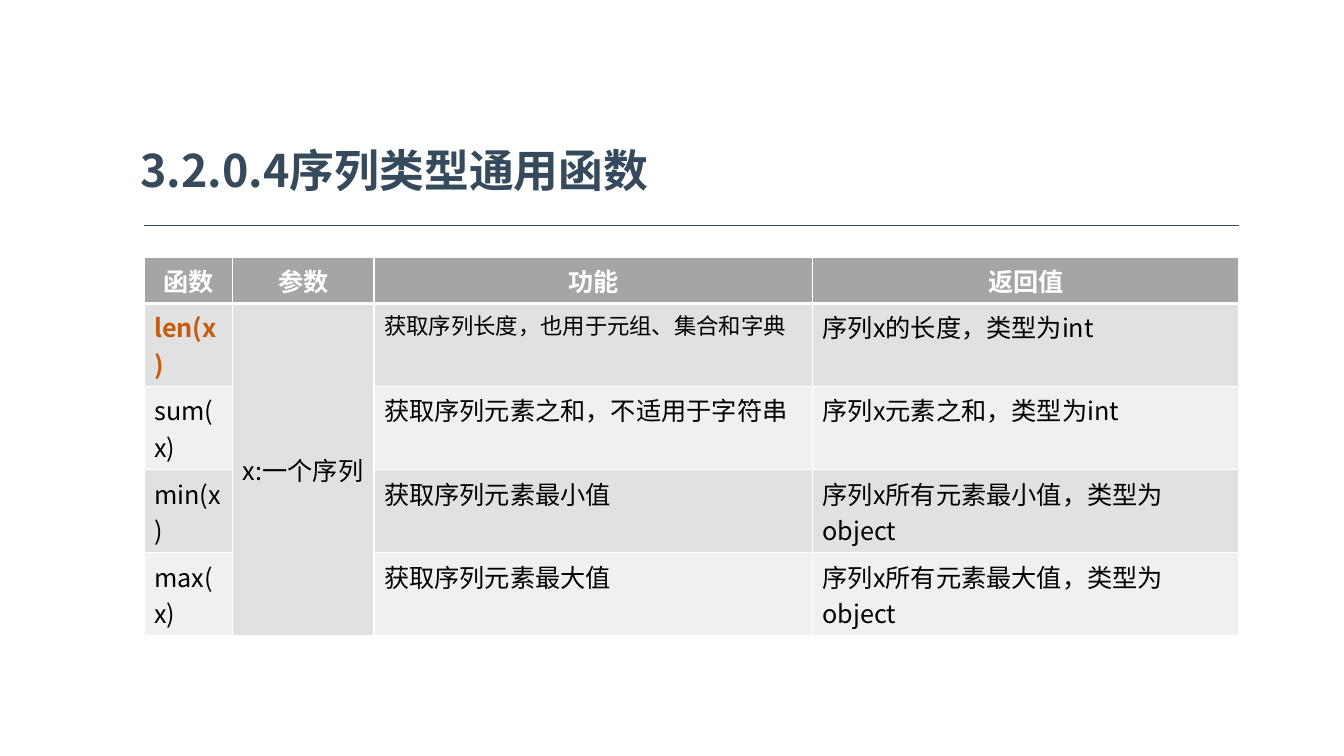
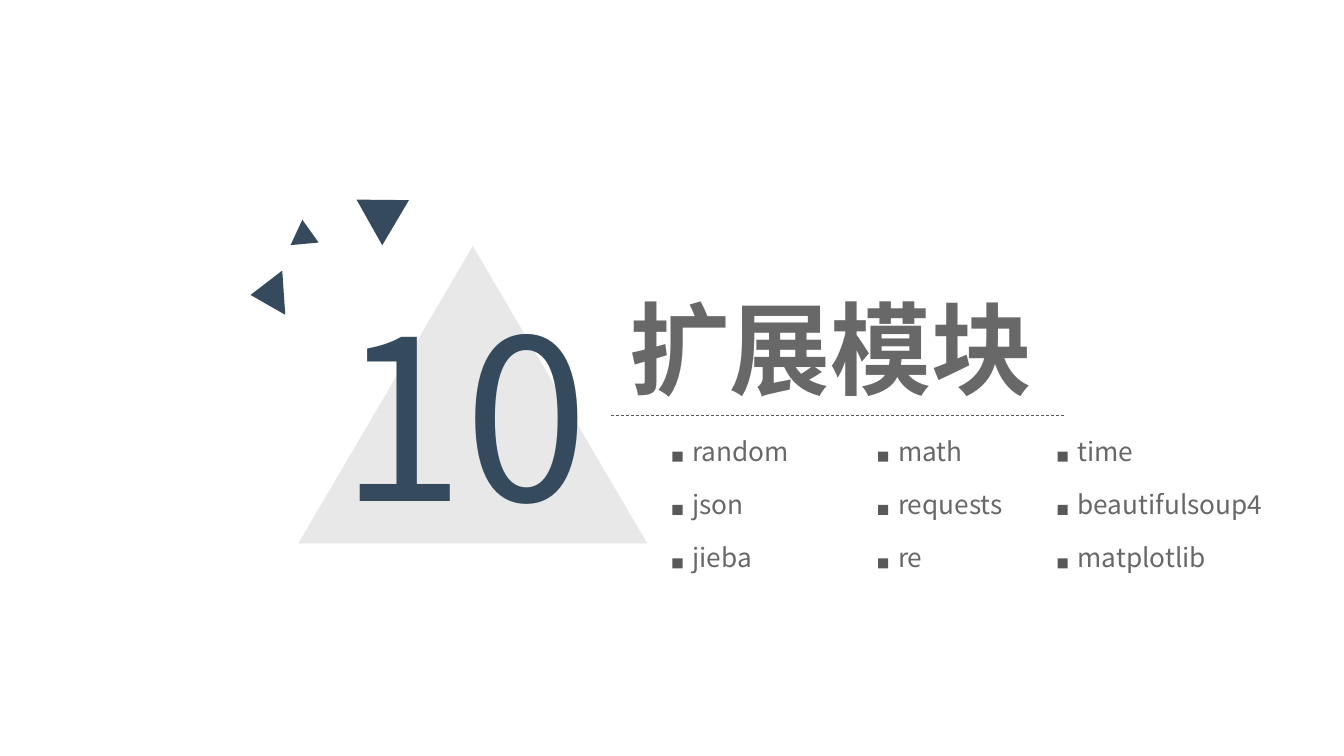
from pptx import Presentation
from pptx.dml.color import RGBColor
from pptx.enum.dml import MSO_LINE
from pptx.enum.shapes import MSO_CONNECTOR, MSO_SHAPE
from pptx.enum.text import MSO_ANCHOR as ANCHOR, MSO_AUTO_SIZE as FIT, PP_ALIGN as ALIGN
from pptx.oxml.ns import qn
from pptx.util import Inches, Pt
from lxml.etree import SubElement, Element

NAVY = RGBColor(0x35, 0x4A, 0x5D)
GREY = RGBColor(0x59, 0x59, 0x59)
SOFT_GREY = RGBColor(0x68, 0x68, 0x68)
PALE_GREY = RGBColor(0xE8, 0xE8, 0xE8)
HEADER = RGBColor(0xA5, 0xA5, 0xA5)
BANDS = RGBColor(0xE1, 0xE1, 0xE1), RGBColor(0xF0, 0xF0, 0xF0)
ORANGE = RGBColor(0xC5, 0x5A, 0x11)
WHITE = RGBColor(0xFF, 0xFF, 0xFF)
BLACK = RGBColor(0, 0, 0)


class Deck:
    """Holds the shared style and the current slide."""

    font = "Noto Sans CJK SC"

    def __init__(self):
        self.prs = Presentation()
        self.prs.slide_width, self.prs.slide_height = Inches(13.33), Inches(7.5)

    def new_slide(self):
        self.s = self.prs.slides.add_slide(self.prs.slide_layouts[5])

    def add_text(self, tf, text, size, color, bold=False, align=ALIGN.LEFT):
        p = tf.paragraphs[0]
        p.alignment = align
        r = p.add_run()
        r.text = text
        r.font.name, r.font.size, r.font.bold = self.font, Pt(size), bold
        r.font.color.rgb = color
        SubElement(r.font._element, qn("a:ea"), typeface=self.font)

    def frame(self, tf):
        tf.word_wrap = True
        tf.auto_size = FIT.NONE
        tf.vertical_anchor = ANCHOR.MIDDLE

    def title(self, text, x, y, w, h, size, color, margin=0.1):
        sp = self.s.shapes.title
        sp.left, sp.top, sp.width, sp.height = map(Inches, (x, y, w, h))
        tf = sp.text_frame
        self.frame(tf)
        tf.margin_left = tf.margin_right = Inches(margin)
        self.add_text(tf, text, size, color, True)

    def text(self, text, x, y, w, h, size, color):
        sp = self.s.shapes.add_textbox(*map(Inches, (x, y, w, h)))
        self.frame(sp.text_frame)
        self.add_text(sp.text_frame, text, size, color)

    def shape(self, kind, x, y, w, h, color, rotation=0):
        sp = self.s.shapes.add_shape(kind, *map(Inches, (x, y, w, h)))
        sp.shadow.inherit = False
        sp.fill.solid()
        sp.fill.fore_color.rgb = color
        sp.line.fill.background()
        sp.rotation = rotation

    def rule(self, x1, x2, y, color, dash=None):
        c = self.s.shapes.add_connector(MSO_CONNECTOR.STRAIGHT, *map(Inches, (x1, y, x2, y)))
        c.line.width = Pt(0.5)
        c.line.color.rgb = color
        if dash:
            c.line.dash_style = dash
        SubElement(c._element.spPr, qn("a:effectLst"))

    def cell(self, cell, text, fill, size=18, color=BLACK, bold=False, align=ALIGN.LEFT):
        cell.fill.solid()
        cell.fill.fore_color.rgb = fill
        if text:
            self.add_text(cell.text_frame, text, size, color, bold, align)

    def borders(self, cell, top=1, bottom=1):
        tc_pr = cell._tc.get_or_add_tcPr()
        for i, (side, width) in enumerate(zip("LRTB", (1, 1, top, bottom))):
            ln = Element(qn("a:ln" + side), w=str(Pt(width)))
            fill = SubElement(ln, qn("a:solidFill"))
            SubElement(fill, qn("a:srgbClr"), val=str(WHITE))
            tc_pr.insert(i, ln)

    def table(self, rows, x, y, widths, row_height, special):
        size = map(Inches, (x, y, sum(widths), row_height * len(rows)))
        t = self.s.shapes.add_table(len(rows), len(widths), *size).table
        t.horz_banding = False
        for col, w in zip(t.columns, widths):
            col.width = Inches(w)
        for i, row in enumerate(rows):
            for j, text in enumerate(row):
                if i:
                    style = special.get((i, j), {})
                    self.cell(t.cell(i, j), text, BANDS[(i - 1) % 2], **style)
                else:
                    self.cell(t.cell(i, j), text, HEADER, 18, WHITE, True, ALIGN.CENTER)
                self.borders(t.cell(i, j), 3 if i == 1 else 1, 1 if i else 3)
        return t


def functions_slide(d):
    d.new_slide()
    d.title("3.2.0.4序列类型通用函数", 1.26, 1.32, 6.95, 0.73, 32, NAVY, 0.13)
    d.rule(1.43, 12.29, 2.24, NAVY)
    rows = [
        ("函数", "参数", "功能", "返回值"),
        ("len(x)", "x:一个序列", "获取序列长度，也用于元组、集合和字典", "序列x的长度，类型为int"),
        ("sum(x)", "", "获取序列元素之和，不适用于字符串", "序列x元素之和，类型为int"),
        ("min(x)", "", "获取序列元素最小值", "序列x所有元素最小值，类型为object"),
        ("max(x)", "", "获取序列元素最大值", "序列x所有元素最大值，类型为object"),
    ]
    special = {(1, 0): {"color": ORANGE, "bold": True}, (1, 2): {"size": 16}}
    t = d.table(rows, 1.43, 2.55, (0.88, 1.4, 4.35, 4.23), 0.41, special)
    t.cell(1, 1).merge(t.cell(4, 1))
    t.cell(1, 1).vertical_anchor = ANCHOR.MIDDLE


def modules_slide(d):
    d.new_slide()
    d.shape(MSO_SHAPE.ISOSCELES_TRIANGLE, 2.96, 2.44, 3.46, 2.95, PALE_GREY)
    d.text("10", 3.28, 2.69, 2.84, 2.79, 160, NAVY)
    d.title("扩展模块", 6.14, 2.79, 4.3, 1.31, 72, SOFT_GREY)
    d.rule(6.06, 10.55, 4.12, GREY, MSO_LINE.DASH)
    for x, y, w, h, rotation in (
        (3.47, 1.87, 0.52, 0.45, 300.6),
        (2.87, 2.18, 0.28, 0.24, 354.7),
        (2.43, 2.75, 0.44, 0.33, 266.1),
    ):
        d.shape(MSO_SHAPE.ISOSCELES_TRIANGLE, x, y, w, h, NAVY, rotation)
    columns = {
        6.67: ("random", "json", "jieba"),
        8.71: ("math", "requests", "re"),
        10.49: ("time", "beautifulsoup4", "matplotlib"),
    }
    for x, names in columns.items():
        for i, name in enumerate(names):
            y = 4.26 + 0.53 * i
            d.shape(MSO_SHAPE.RECTANGLE, x, y + 0.22, 0.1, 0.1, GREY)
            d.text(name, x + 0.1, y, 2.1, 0.42, 18.7, SOFT_GREY)


def main():
    d = Deck()
    functions_slide(d)
    modules_slide(d)
    d.prs.save("out.pptx")


if __name__ == "__main__":
    main()
